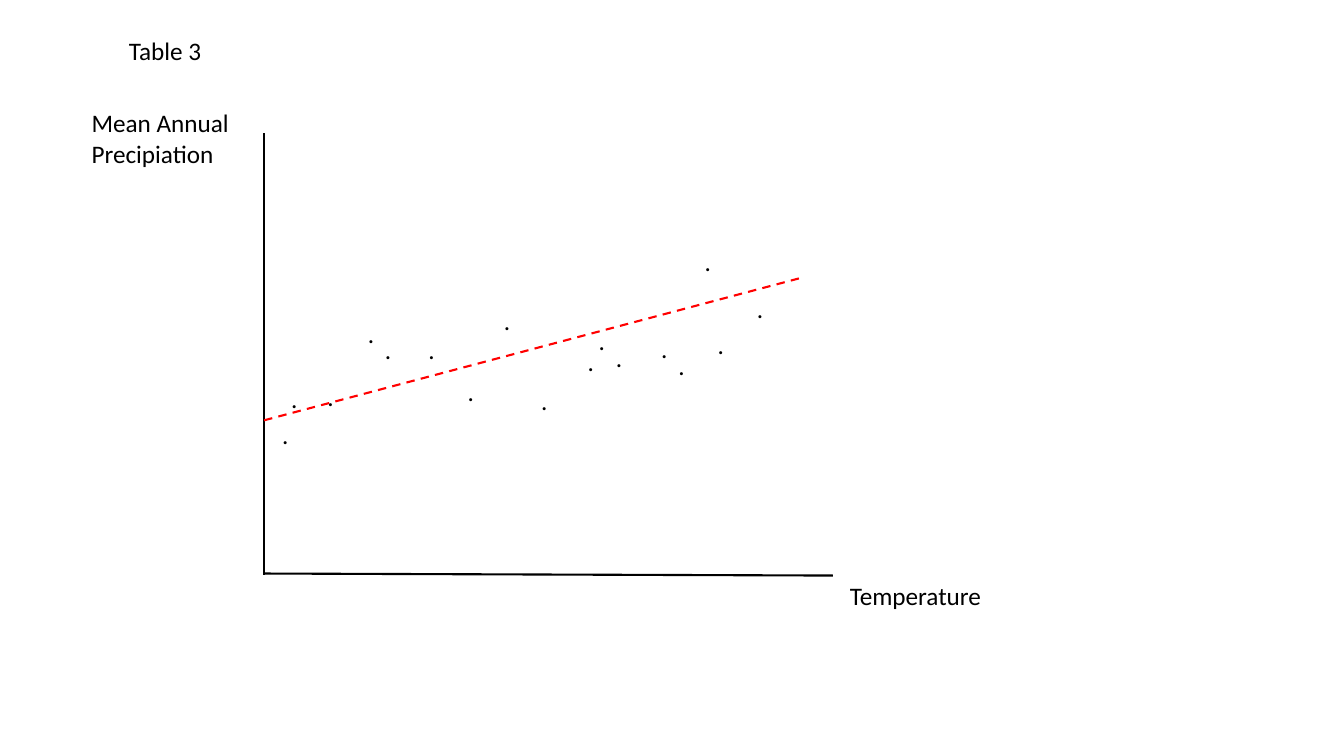
from lxml import etree
from pptx import Presentation
from pptx.dml.color import RGBColor
from pptx.enum import dml, shapes, text
from pptx.oxml import ns
from pptx.util import Inches, Pt

COLORS = {"ink": "000000", "trend": "FF0000"}
FONT, SIZE = "Calibri", 18

# Labels: text, (left, top, width, height), wrap
LABELS = [
    ("Temperature", (8.33, 5.71, 1.52, 0.4), False),
    ("Mean Annual Precipiation", (0.81, 1.02, 1.65, 0.71), True),
    ("Table 3", (1.18, 0.3, 0.93, 0.4), False),
]

# Scatter points: left, top of each dot's text box
POINTS = [
    (2.79, 3.75), (3.55, 3.11), (3.72, 3.27), (4.15, 3.27), (4.9, 2.98),
    (5.27, 3.77), (5.73, 3.39), (5.84, 3.18), (6.01, 3.35), (6.46, 3.26),
    (6.63, 3.43), (7.02, 3.22), (7.41, 2.86), (4.54, 3.68), (6.89, 2.39),
    (3.15, 3.73), (2.7, 4.11),
]
DOT_SIZE = (0.27, 0.4)

# Lines: start, end
AXES = [((2.62, 1.32), (2.62, 5.7)), ((8.26, 5.71), (2.62, 5.69))]
TREND = ((2.62, 4.17), (7.97, 2.75))


def add_line(s, start, end, color, dash=None):
    ln = s.shapes.add_connector(shapes.MSO_CONNECTOR.STRAIGHT,
                                *map(Inches, start + end))
    ln.line.color.rgb = RGBColor.from_string(COLORS[color])
    ln.line.width = Pt(1.5)
    if dash:
        ln.line.dash_style = dash
    etree.SubElement(ln._element.spPr, ns.qn("a:effectLst"))


def add_text(s, words, box, wrap=False):
    tf = s.shapes.add_textbox(*map(Inches, box)).text_frame
    tf.word_wrap = wrap
    tf.auto_size = text.MSO_AUTO_SIZE.SHAPE_TO_FIT_TEXT
    p = tf.paragraphs[0]
    p.text = words
    p.font.name, p.font.size = FONT, Pt(SIZE)
    p.font.color.rgb = RGBColor.from_string(COLORS["ink"])


def main():
    prs = Presentation()
    prs.slide_width, prs.slide_height = Inches(13.33), Inches(7.5)
    s = prs.slides.add_slide(prs.slide_layouts[6])

    # Axes and labels
    for start, end in AXES:
        add_line(s, start, end, "ink")
    for label in LABELS:
        add_text(s, *label)

    # Scatter points and trend line
    for point in POINTS:
        add_text(s, ".", point + DOT_SIZE)
    add_line(s, *TREND, "trend", dml.MSO_LINE.DASH)

    prs.save("out.pptx")


if __name__ == "__main__":
    main()
